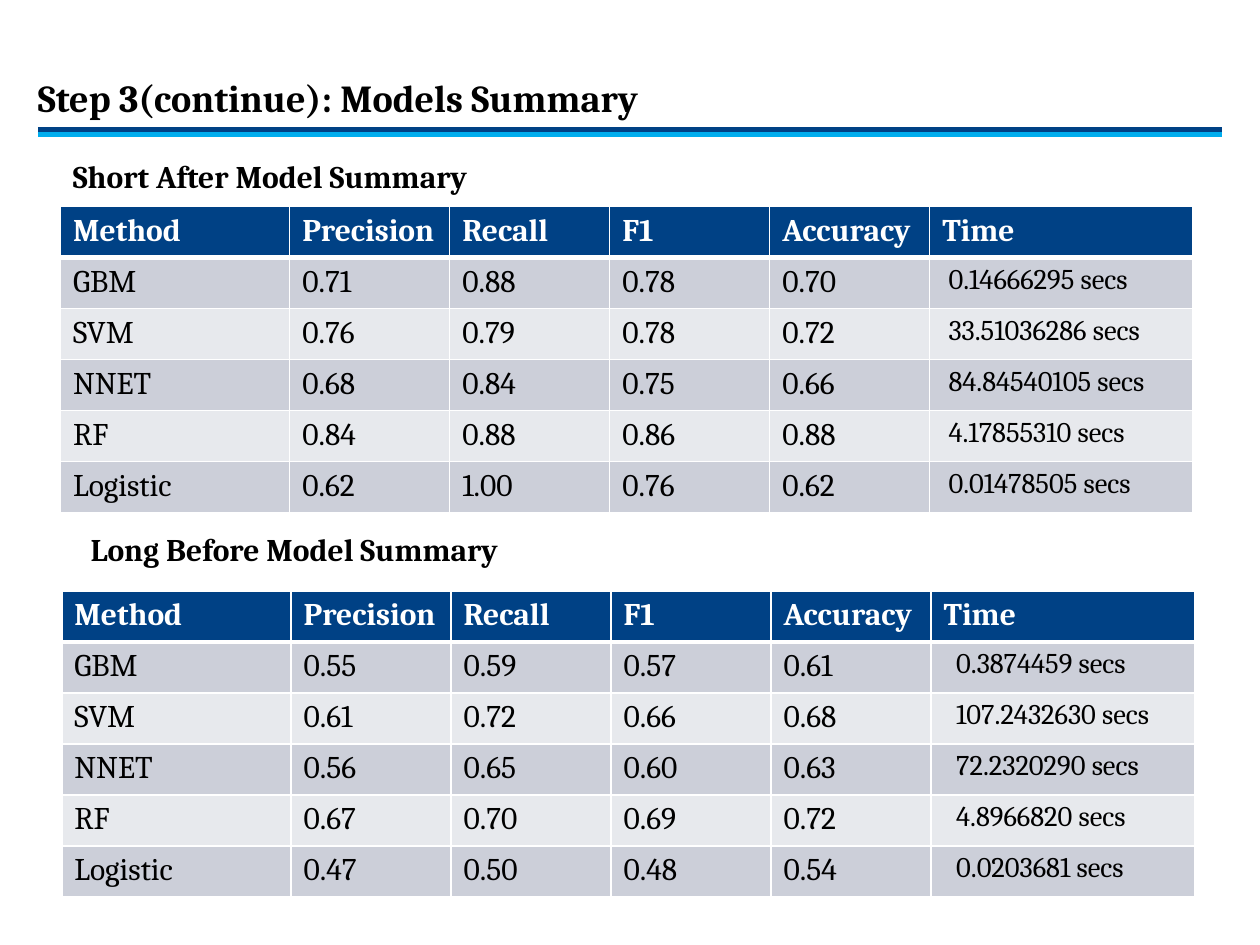
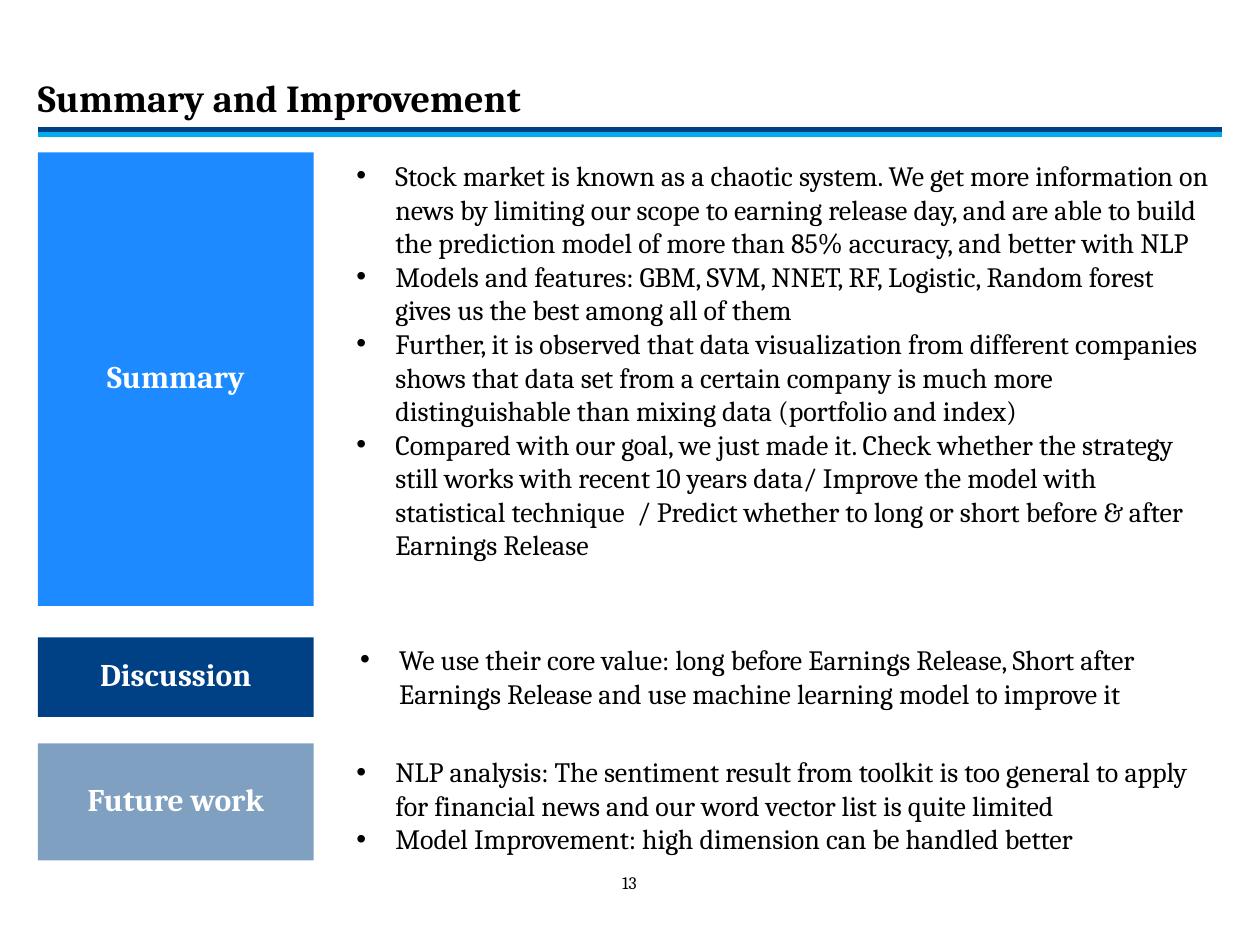
from lxml import etree
from pptx import Presentation
from pptx.dml.color import RGBColor
from pptx.enum.shapes import MSO_CONNECTOR, MSO_SHAPE
from pptx.enum.text import MSO_ANCHOR, PP_ALIGN
from pptx.oxml.ns import qn
from pptx.util import Inches, Pt

RECT = MSO_SHAPE.RECTANGLE
STRAIGHT = MSO_CONNECTOR.STRAIGHT
TOP, MIDDLE, BOTTOM = MSO_ANCHOR.TOP, MSO_ANCHOR.MIDDLE, MSO_ANCHOR.BOTTOM
LEFT, CENTER = PP_ALIGN.LEFT, PP_ALIGN.CENTER

BLACK = RGBColor(0x00, 0x00, 0x00)
WHITE = RGBColor(0xFF, 0xFF, 0xFF)
NAVY = RGBColor(0x00, 0x41, 0x85)
CYAN = RGBColor(0x00, 0xAD, 0xEE)
BLUE = RGBColor(0x1D, 0x8B, 0xFF)
STEEL = RGBColor(0x80, 0xA0, 0xC2)
BANDS = RGBColor(0xCC, 0xCF, 0xD9), RGBColor(0xE7, 0xE9, 0xED)

FONT = "Cambria"
EDGE, RIGHT = 0.3, 9.7
HEADS = ["Method", "Precision", "Recall", "F1", "Accuracy", "Time"]
WIDTHS = [1.82, 1.27, 1.27, 1.27, 1.27, 2.09]
ROW = 0.405

SHORT = [
    ["GBM", "0.71", "0.88", "0.78", "0.70", "0.14666295 secs"],
    ["SVM", "0.76", "0.79", "0.78", "0.72", "33.51036286 secs"],
    ["NNET", "0.68", "0.84", "0.75", "0.66", "84.84540105 secs"],
    ["RF", "0.84", "0.88", "0.86", "0.88", "4.17855310 secs"],
    ["Logistic", "0.62", "1.00", "0.76", "0.62", "0.01478505 secs"],
]
LONG = [
    ["GBM", "0.55", "0.59", "0.57", "0.61", "0.3874459 secs"],
    ["SVM", "0.61", "0.72", "0.66", "0.68", "107.2432630 secs"],
    ["NNET", "0.56", "0.65", "0.60", "0.63", "72.2320290 secs"],
    ["RF", "0.67", "0.70", "0.69", "0.72", "4.8966820 secs"],
    ["Logistic", "0.47", "0.50", "0.48", "0.54", "0.0203681 secs"],
]

SUMMARY = [
    "Stock market is known as a chaotic system. We get more information on "
    "news by limiting our scope to earning release day, and are able to build "
    "the prediction model of more than 85% accuracy, and better with NLP",
    "Models and features: GBM, SVM, NNET, RF, Logistic, Random forest gives "
    "us the best among all of them",
    "Further, it is observed that data visualization from different companies "
    "shows that data set from a certain company is much more distinguishable "
    "than mixing data (portfolio and index)",
    "Compared with our goal, we just made it. Check whether the strategy still "
    "works with recent 10 years data/ Improve the model with statistical "
    "technique  / Predict whether to long or short before & after Earnings Release",
]
TALK = [
    "We use their core value: long before Earnings Release, Short after "
    "Earnings Release and use machine learning model to improve it",
]
FUTURE = [
    "NLP analysis: The sentiment result from toolkit is too general to apply "
    "for financial news and our word vector list is quite limited",
    "Model Improvement: high dimension can be handled better",
]
# label, fill, label top and height, points, points left, top and height
PARTS = [
    ("Summary", BLUE, 1.21, 3.6, SUMMARY, 2.73, 1.21, 3.6),
    ("Discussion", NAVY, 5.06, 0.63, TALK, 2.76, 5.05, 0.64),
    ("Future work", STEEL, 5.9, 0.93, FUTURE, 2.73, 5.94, 0.91),
]


def put(frame, *texts, size=18, color=BLACK, bold=False, align=LEFT,
        space=None, bullet=False):
    """Write one paragraph for each text into a text frame."""
    frame.word_wrap = True
    for i, text in enumerate(texts):
        para = frame.add_paragraph() if i else frame.paragraphs[0]
        para.alignment = align
        if space:
            para.line_spacing = space
        if bullet:
            hang(para)
        run = para.add_run()
        run.text = text
        font = run.font
        font.name, font.size, font.bold = FONT, Pt(size), bold
        font.color.rgb = color


def hang(para):
    """Give a paragraph a round bullet and a hanging indent."""
    props = para._p.get_or_add_pPr()
    props.set("marL", str(Inches(0.31)))
    props.set("indent", str(-Inches(0.31)))
    face = etree.SubElement(props, qn("a:buFont"))
    face.set("typeface", "Arial")
    etree.SubElement(props, qn("a:buChar")).set("char", "•")


def strip(frame):
    frame.margin_left = frame.margin_right = 0
    frame.margin_top = frame.margin_bottom = 0


def add_text(slide, box, *texts, anchor=TOP, bare=False, **style):
    frame = slide.shapes.add_textbox(*map(Inches, box)).text_frame
    frame.vertical_anchor = anchor
    if bare:
        strip(frame)
    put(frame, *texts, **style)


def add_rule(slide, y, color):
    line = slide.shapes.add_connector(
        STRAIGHT, Inches(EDGE), Inches(y), Inches(RIGHT), Inches(y))
    line.line.color.rgb = color
    line.line.width = Pt(3)
    etree.SubElement(line._element.spPr, qn("a:effectLst"))


def add_label(slide, text, fill, top, height):
    shape = slide.shapes.add_shape(
        RECT, Inches(EDGE), Inches(top), Inches(2.19), Inches(height))
    shape.shadow.inherit = False
    shape.fill.solid()
    shape.fill.fore_color.rgb = fill
    shape.line.fill.background()
    frame = shape.text_frame
    frame.vertical_anchor = MIDDLE
    strip(frame)
    put(frame, text, color=WHITE, bold=True, align=CENTER, space=0.8)


def add_edges(cell, head, first):
    """Draw white cell borders, thick between the head and the first row."""
    props = cell._tc.get_or_add_tcPr()
    widths = {"lnL": 1, "lnR": 1, "lnT": 3 if first else 1, "lnB": 3 if head else 1}
    for tag, width in widths.items():
        edge = etree.SubElement(props, qn(f"a:{tag}"))
        edge.set("w", str(Pt(width)))
        fill = etree.SubElement(edge, qn("a:solidFill"))
        etree.SubElement(fill, qn("a:srgbClr")).set("val", str(WHITE))


def add_scores(slide, left, top, rows, inset):
    """Add a table of model scores; inset is the left margin of the times."""
    data = [HEADS] + rows
    table = slide.shapes.add_table(
        len(data), len(HEADS), Inches(left), Inches(top),
        Inches(sum(WIDTHS)), Inches(ROW * len(data))).table
    for col, width in zip(table.columns, WIDTHS):
        col.width = Inches(width)
    for r, row in enumerate(data):
        table.rows[r].height = Inches(ROW)
        head = r == 0
        for c, text in enumerate(row):
            cell = table.cell(r, c)
            time = c == len(HEADS) - 1 and not head
            add_edges(cell, head, r == 1)
            cell.fill.solid()
            cell.fill.fore_color.rgb = NAVY if head else BANDS[(r - 1) % 2]
            if time:
                cell.margin_left = Inches(inset)
            put(cell.text_frame, text, size=16.3 if time else 18,
                color=WHITE if head else BLACK, bold=head)


def add_page(deck, title):
    """Add a blank slide with the shared title and double rule."""
    slide = deck.slides.add_slide(deck.slide_layouts[6])
    add_rule(slide, 1.03, NAVY)
    add_rule(slide, 1.07, CYAN)
    add_text(slide, (EDGE, 0.32, 9.41, 0.63), title, anchor=BOTTOM, bare=True,
             size=21.8, bold=True, space=0.8)
    return slide


def main():
    deck = Presentation()
    deck.slide_width, deck.slide_height = Inches(10), Inches(7.5)

    page = add_page(deck, "Step 3(continue): Models Summary")
    add_text(page, (0.48, 1.2, 4.19, 0.4), "Short After Model Summary", bold=True)
    add_text(page, (0.62, 4.16, 4.19, 0.4), "Long Before Model Summary", bold=True)
    add_scores(page, 0.48, 1.64, SHORT, 0.15)
    add_scores(page, 0.49, 4.69, LONG, 0.2)

    page = add_page(deck, "Summary and Improvement")
    for label, fill, top, height, points, left, y, tall in PARTS:
        add_label(page, label, fill, top, height)
        add_text(page, (left, y, 6.98, tall), *points, size=16, bullet=True)
    add_text(page, (4.8, 6.92, 0.39, 0.52), "13", bare=True, size=10, align=CENTER)

    deck.save("out.pptx")


if __name__ == "__main__":
    main()
